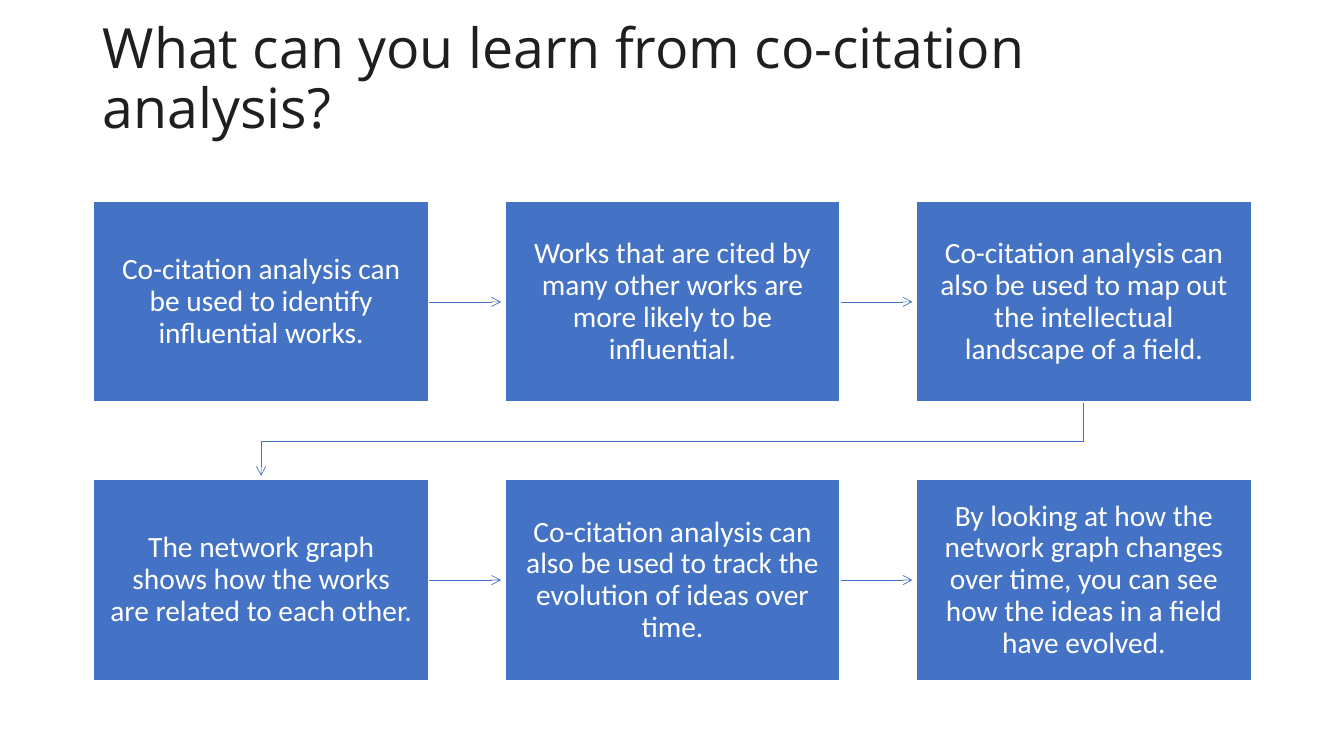
from dataclasses import dataclass

from lxml import etree
from pptx import Presentation
from pptx.dml.color import RGBColor
from pptx.enum.shapes import MSO_CONNECTOR, MSO_SHAPE
from pptx.enum.text import MSO_ANCHOR, MSO_AUTO_SIZE, PP_ALIGN
from pptx.oxml.ns import qn
from pptx.util import Inches, Pt

STRAIGHT, RECTANGLE = MSO_CONNECTOR.STRAIGHT, MSO_SHAPE.RECTANGLE
MIDDLE, NO_FIT = MSO_ANCHOR.MIDDLE, MSO_AUTO_SIZE.NONE
LEFT, CENTER = PP_ALIGN.LEFT, PP_ALIGN.CENTER

TITLE = "What can you learn from co-citation analysis?"
STEPS = [
    "Co-citation analysis can be used to identify influential works.",
    "Works that are cited by many other works are more likely to be influential.",
    "Co-citation analysis can also be used to map out the intellectual landscape of a field.",
    "The network graph shows how the works are related to each other.",
    "Co-citation analysis can also be used to track the evolution of ideas over time.",
    "By looking at how the network graph changes over time,\u00a0you can see "
    "how the ideas in a field have evolved.",
]

COLUMNS = 3
GRID_LEFT, GRID_TOP = 0.93, 2.0
BOX_WIDTH, BOX_HEIGHT = 3.32, 1.99
COLUMN_PITCH, ROW_PITCH = 4.08, 2.76
ARROW_GAP = 0.04


@dataclass(frozen=True)
class Theme:
    """Colours, fonts and type sizes of the slide."""
    accent: RGBColor = RGBColor(0x44, 0x72, 0xC4)
    white: RGBColor = RGBColor(0xFF, 0xFF, 0xFF)
    title_color: RGBColor = RGBColor(0x1F, 0x1F, 0x1F)
    title_font: str = "Open Sans"
    body_font: str = "Calibri"
    title_size: Pt = Pt(39.6)
    body_size: Pt = Pt(21)
    box_line: Pt = Pt(1)
    arrow_line: Pt = Pt(0.5)


THEME = Theme()


def set_text(shape, text, font, size, color, alignment):
    """Fill a shape with one formatted, vertically centred paragraph."""
    frame = shape.text_frame
    frame.text = text
    frame.word_wrap = True
    frame.auto_size = NO_FIT
    frame.vertical_anchor = MIDDLE
    paragraph = frame.paragraphs[0]
    paragraph.alignment = alignment
    paragraph.line_spacing = 0.9
    paragraph.space_before = Pt(0)
    for run in paragraph.runs:
        run.font.name, run.font.size = font, size
        run.font.color.rgb = color
    return paragraph


def add_title(slide):
    """Place the title, which ends in a line break of the same type size."""
    title = slide.shapes.title
    title.left, title.top = Inches(0.92), Inches(0.4)
    title.width, title.height = Inches(11.5), Inches(1.45)
    paragraph = set_text(title, TITLE, THEME.title_font, THEME.title_size,
                         THEME.title_color, LEFT)
    paragraph.add_line_break()
    end = etree.SubElement(paragraph._p, qn("a:endParaRPr"))
    end.set("sz", str(int(THEME.title_size.pt * 100)))
    etree.SubElement(end, qn("a:latin")).set("typeface", THEME.title_font)


def box_position(index):
    """Return the left and top of a step box in inches."""
    row, column = divmod(index, COLUMNS)
    return GRID_LEFT + column * COLUMN_PITCH, GRID_TOP + row * ROW_PITCH


def add_box(slide, index, text):
    """Draw one step box."""
    left, top = box_position(index)
    box = slide.shapes.add_shape(RECTANGLE, Inches(left), Inches(top),
                                 Inches(BOX_WIDTH), Inches(BOX_HEIGHT))
    box.shadow.inherit = False
    box.fill.solid()
    box.fill.fore_color.rgb = THEME.accent
    box.line.color.rgb = THEME.white
    box.line.width = THEME.box_line
    frame = box.text_frame
    frame.margin_left = frame.margin_right = Inches(0.16)
    frame.margin_top = frame.margin_bottom = Inches(0.17)
    set_text(box, text, THEME.body_font, THEME.body_size, THEME.white, CENTER)


def style_arrow(arrow):
    """Give a line its colour, width and open arrowhead, without a shadow."""
    arrow.line.color.rgb = THEME.accent
    arrow.line.width = THEME.arrow_line
    line = arrow.line._get_or_add_ln()
    etree.SubElement(line, qn("a:tailEnd")).set("type", "arrow")
    etree.SubElement(arrow._element.spPr, qn("a:effectLst"))


def add_arrow(slide, index):
    """Link a step to the next one, bending where the row ends."""
    left, top = box_position(index)
    next_left, next_top = box_position(index + 1)
    if next_top == top:
        middle = Inches(top + BOX_HEIGHT / 2)
        arrow = slide.shapes.add_connector(
            STRAIGHT, Inches(left + BOX_WIDTH), middle,
            Inches(next_left - ARROW_GAP), middle)
    else:
        start_x, end_x = (Inches(x + BOX_WIDTH / 2) for x in (left, next_left))
        bottom = top + BOX_HEIGHT
        turn = Inches((bottom + next_top) / 2)
        builder = slide.shapes.build_freeform(start_x, Inches(bottom))
        builder.add_line_segments(
            [(start_x, turn), (end_x, turn), (end_x, Inches(next_top - ARROW_GAP))],
            close=False)
        arrow = builder.convert_to_shape()
        arrow.fill.background()
    style_arrow(arrow)


def main():
    """Build and save the slide."""
    presentation = Presentation()
    presentation.slide_width, presentation.slide_height = Inches(13.33), Inches(7.5)
    slide = presentation.slides.add_slide(presentation.slide_layouts[5])
    add_title(slide)
    for index, text in enumerate(STEPS):
        if index + 1 < len(STEPS):
            add_arrow(slide, index)
        add_box(slide, index, text)
    presentation.save("out.pptx")


main()
